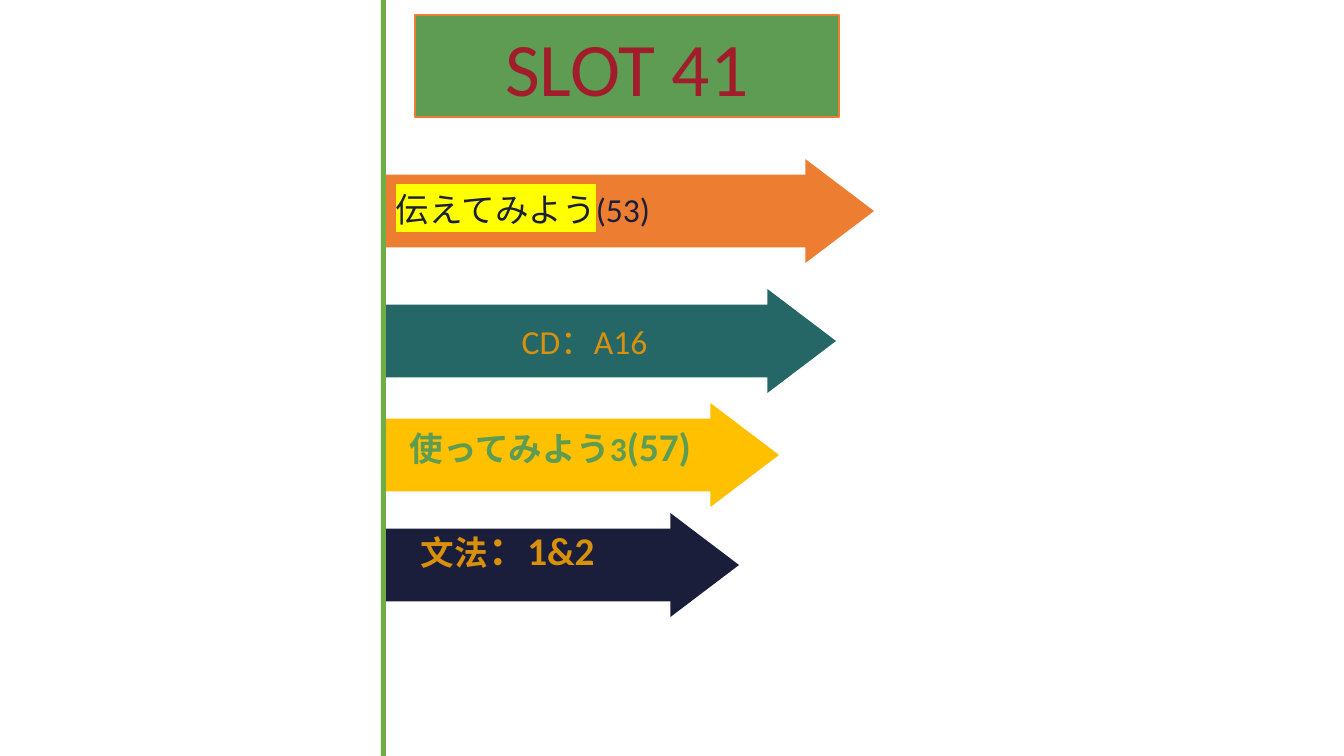
from lxml import etree
from pptx import Presentation
from pptx.dml.color import RGBColor
from pptx.enum.shapes import MSO_SHAPE
from pptx.enum.text import MSO_ANCHOR, PP_ALIGN
from pptx.oxml.ns import qn
from pptx.util import Pt

RECTANGLE, RIGHT_ARROW = MSO_SHAPE.RECTANGLE, MSO_SHAPE.RIGHT_ARROW
TOP, MIDDLE = MSO_ANCHOR.TOP, MSO_ANCHOR.MIDDLE
LEFT, CENTER = PP_ALIGN.LEFT, PP_ALIGN.CENTER

ORANGE = RGBColor(0xED, 0x7D, 0x31)
TEAL = RGBColor(0x25, 0x67, 0x66)
YELLOW = RGBColor(0xFF, 0xC0, 0x00)
NAVY = RGBColor(0x1A, 0x1E, 0x3B)
LEAF = RGBColor(0x70, 0xAD, 0x47)
GREEN = RGBColor(0x5E, 0x9C, 0x53)
GOLD = RGBColor(0xD9, 0x91, 0x0B)
RED = RGBColor(0xA1, 0x1D, 0x2B)
HIGHLIGHT = RGBColor(0xFF, 0xFF, 0x00)

FONT = "Calibri"
SCALE = 914400 / 100.8
ARROW_HEIGHT = 104

TITLE = "SLOT 41"
TITLE_AREA = (415, 15, 424, 102)
BAR_AREA = (381, 0, 5, 758)
ARROWS = [
    (381, 159, 493, ORANGE),
    (381, 289, 455, TEAL),
    (386, 403, 393, YELLOW),
    (386, 513, 353, NAVY),
]
CD_LABEL = "CD：A16"
LABELS = [
    ((386, 184, 561, 50), [("伝えてみよう", 24, HIGHLIGHT), ("(53)", 24, None)], NAVY, False),
    ((400, 417, 454, 57), [("使ってみよう3", 24, None), ("(57)", 28, None)], GREEN, True),
    ((411, 521, 328, 57), [("文法", 24, None), ("：1&2", 28, None)], GOLD, True),
]


def emu(*lengths):
    return [round(length * SCALE) for length in lengths]


def write(shape, spans, color, bold=False, align=LEFT, anchor=TOP):
    frame = shape.text_frame
    frame.word_wrap = True
    frame.vertical_anchor = anchor
    para = frame.paragraphs[0]
    para.alignment = align
    for text, size, highlight in spans:
        span = para.add_run()
        span.text = text
        span.font.size = Pt(size)
        span.font.bold = bold
        span.font.color.rgb = color
        if highlight:
            mark = etree.SubElement(span.font._element, qn("a:highlight"))
            etree.SubElement(mark, qn("a:srgbClr"), val=str(highlight))
        span.font.name = FONT


def add_filled(page, kind, area, color):
    shape = page.shapes.add_shape(kind, *emu(*area))
    shape.shadow.inherit = False
    shape.fill.solid()
    shape.fill.fore_color.rgb = color
    shape.line.fill.background()
    return shape


def main():
    deck = Presentation()
    deck.slide_width, deck.slide_height = emu(1344, 756)
    page = deck.slides.add_slide(deck.slide_layouts[5])

    title = page.shapes.title
    title.left, title.top, title.width, title.height = emu(*TITLE_AREA)
    title.fill.solid()
    title.fill.fore_color.rgb = GREEN
    title.line.color.rgb = ORANGE
    title.line.width = Pt(1)
    write(title, [(TITLE, 54, None)], RED, align=CENTER, anchor=MIDDLE)

    for left, top, width, color in ARROWS:
        arrow = add_filled(page, RIGHT_ARROW, (left, top, width, ARROW_HEIGHT), color)
        arrow.adjustments[0] = 0.7
        arrow.adjustments[1] = 0.66
        if color == TEAL:
            write(arrow, [(CD_LABEL, 24, None)], GOLD, align=CENTER, anchor=MIDDLE)

    add_filled(page, RECTANGLE, BAR_AREA, LEAF)

    for area, spans, color, bold in LABELS:
        box = page.shapes.add_textbox(*emu(*area))
        write(box, spans, color, bold=bold)

    deck.save("out.pptx")


if __name__ == "__main__":
    main()
